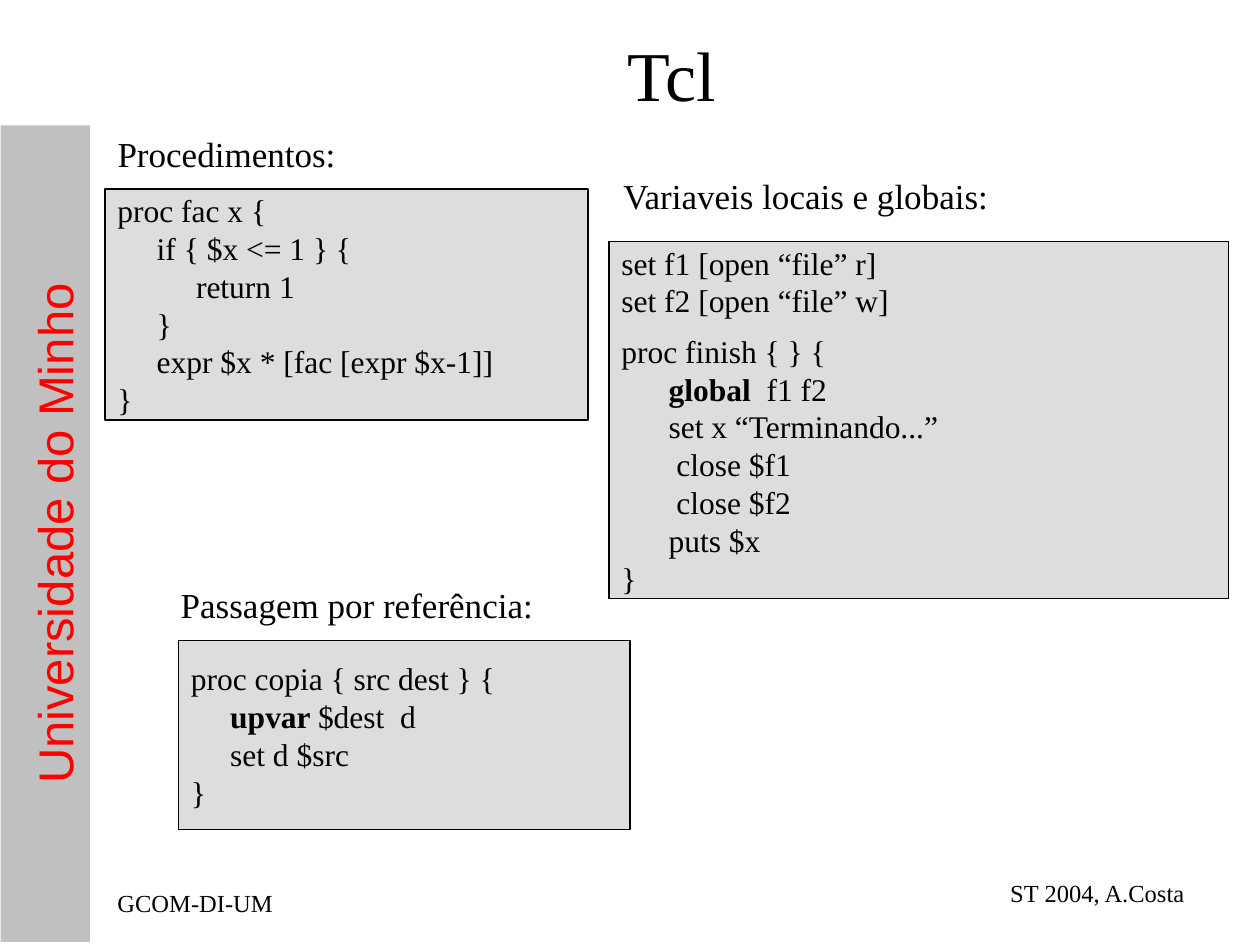
import pptx
import pptx.dml.color
import pptx.enum.shapes
import pptx.enum.text
import pptx.util

Pt = pptx.util.Pt
ALIGN = pptx.enum.text.PP_ALIGN
ANCHOR = pptx.enum.text.MSO_ANCHOR
RECT = pptx.enum.shapes.MSO_SHAPE.RECTANGLE

COLORS = {"text": "000000", "code": "DDDDDD", "bar": "C0C0C0", "school": "FF0000"}
SERIF = "Times New Roman"
SANS = "Arial"
CODE_GAP = 7.2

FAC_CODE = [
    "proc fac x {",
    "     if { $x <= 1 } {",
    "          return 1",
    "     }",
    "     expr $x * [fac [expr $x-1]]",
    "}",
]
OPEN_CODE = ["set f1 [open “file” r]", "set f2 [open “file” w]"]
FINISH_CODE = [
    "proc finish { } {",
    ("      ", "global ", " f1 f2"),
    "      set x “Terminando...”",
    "       close $f1",
    "       close $f2",
    "      puts $x",
    "}",
]
COPY_CODE = [
    "proc copia { src dest } {",
    ("     ", "upvar ", "$dest  d"),
    "     set d $src",
    "}",
]


def rgb(name):
    return pptx.dml.color.RGBColor.from_string(COLORS[name])


def add_run(p, text, size, font=SERIF, color="text", bold=False):
    r = p.add_run()
    r.text = text
    r.font.size = Pt(size)
    r.font.name = font
    r.font.bold = bold
    r.font.color.rgb = rgb(color)


def set_frame(tf, anchor, wrap=True):
    tf.word_wrap = wrap
    tf.auto_size = pptx.enum.text.MSO_AUTO_SIZE.NONE
    tf.vertical_anchor = anchor
    tf.margin_left = tf.margin_right = Pt(7.2)
    tf.margin_top = tf.margin_bottom = Pt(3.6)


def add_box(slide, box, fill):
    sp = slide.shapes.add_shape(RECT, *map(Pt, box))
    sp.shadow.inherit = False
    sp.fill.solid()
    sp.fill.fore_color.rgb = rgb(fill)
    return sp


def add_sidebar(slide, text):
    sp = add_box(slide, (-207.4, 279.4, 466.6, 51.1), "bar")
    sp.line.fill.background()
    sp.rotation = 270
    set_frame(sp.text_frame, ANCHOR.TOP)
    p = sp.text_frame.paragraphs[0]
    p.alignment = ALIGN.CENTER
    p.line_spacing = 1.3
    add_run(p, text, 28, SANS, "school")


def add_title(slide, text):
    sp = slide.shapes.title
    sp.left, sp.top, sp.width, sp.height = map(Pt, (60, 12, 648, 60))
    set_frame(sp.text_frame, ANCHOR.MIDDLE)
    p = sp.text_frame.paragraphs[0]
    p.alignment = ALIGN.CENTER
    add_run(p, text, 40)


def add_label(slide, box, text, size=20, align=ALIGN.CENTER, anchor=ANCHOR.TOP):
    sp = slide.shapes.add_textbox(*map(Pt, box))
    set_frame(sp.text_frame, anchor, wrap=False)
    p = sp.text_frame.paragraphs[0]
    p.alignment = align
    add_run(p, text, size)


def add_code(slide, box, *blocks):
    """Boxed listing; a line given as a tuple has its second part in bold."""
    sp = add_box(slide, box, "code")
    sp.line.color.rgb = rgb("text")
    sp.line.width = Pt(0.75)
    tf = sp.text_frame
    set_frame(tf, ANCHOR.MIDDLE)
    p = None
    for block in blocks:
        for i, line in enumerate(block):
            first = p is None
            p = tf.paragraphs[0] if first else tf.add_paragraph()
            p.alignment = ALIGN.LEFT
            if i == 0 and not first:
                p.space_before = Pt(CODE_GAP)
            parts = (line,) if isinstance(line, str) else line
            for j, part in enumerate(parts):
                add_run(p, part, 18, bold=j == 1)


def main():
    prs = pptx.Presentation()
    prs.slide_width, prs.slide_height = Pt(720), Pt(540)
    slide = prs.slides.add_slide(prs.slide_layouts[5])

    add_sidebar(slide, "Universidade do Minho")
    add_label(slide, (60, 504, 150, 24), "GCOM-DI-UM", 14, ALIGN.LEFT, ANCHOR.MIDDLE)
    add_label(slide, (534, 498, 150, 24), "ST 2004, A.Costa", 14, ALIGN.RIGHT, ANCHOR.MIDDLE)
    add_title(slide, "Tcl")

    add_label(slide, (60, 72, 139, 31.5), "Procedimentos:")
    add_code(slide, (60, 108, 276, 132), FAC_CODE)
    add_label(slide, (348, 96, 225, 31.5), "Variaveis locais e globais:")
    add_code(slide, (348, 138, 354, 204), OPEN_CODE, FINISH_CODE)
    add_label(slide, (96, 330, 216, 31.5), "Passagem por referência:")
    add_code(slide, (102, 366, 258, 108), COPY_CODE)

    prs.save("out.pptx")


if __name__ == "__main__":
    main()
